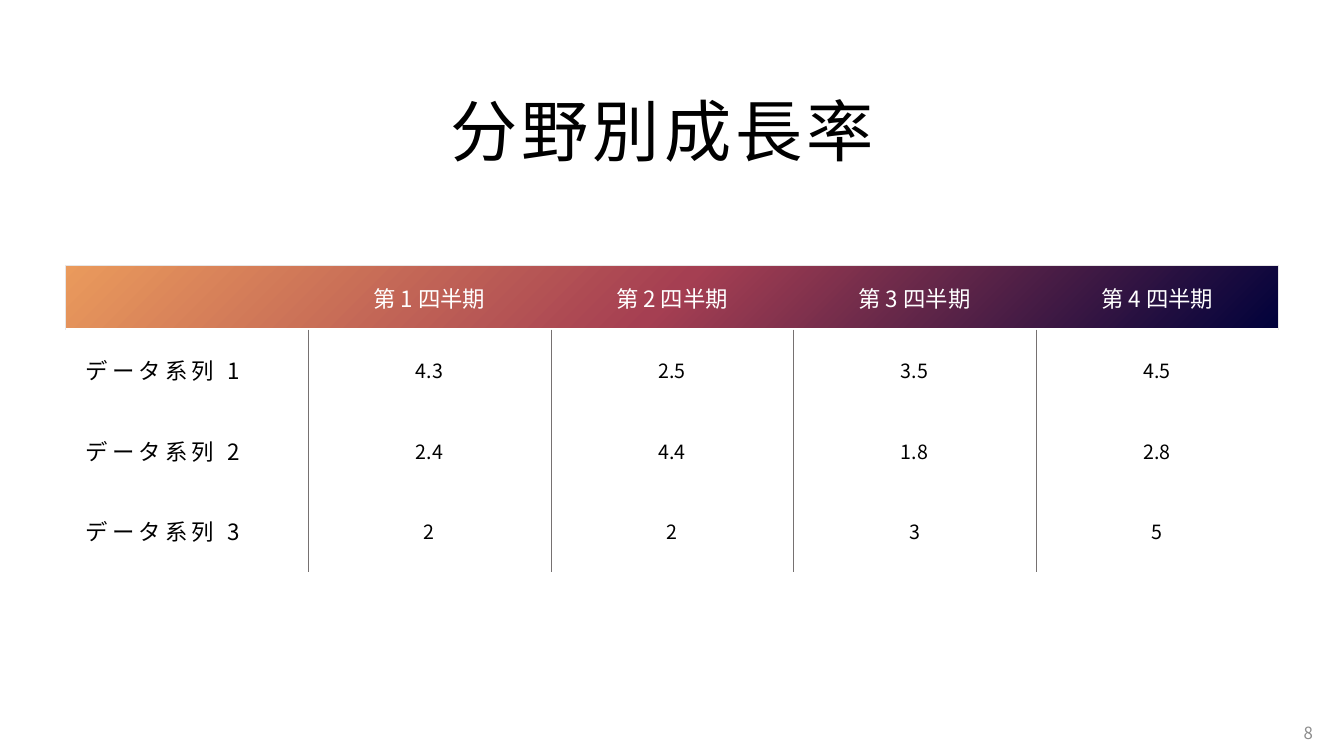
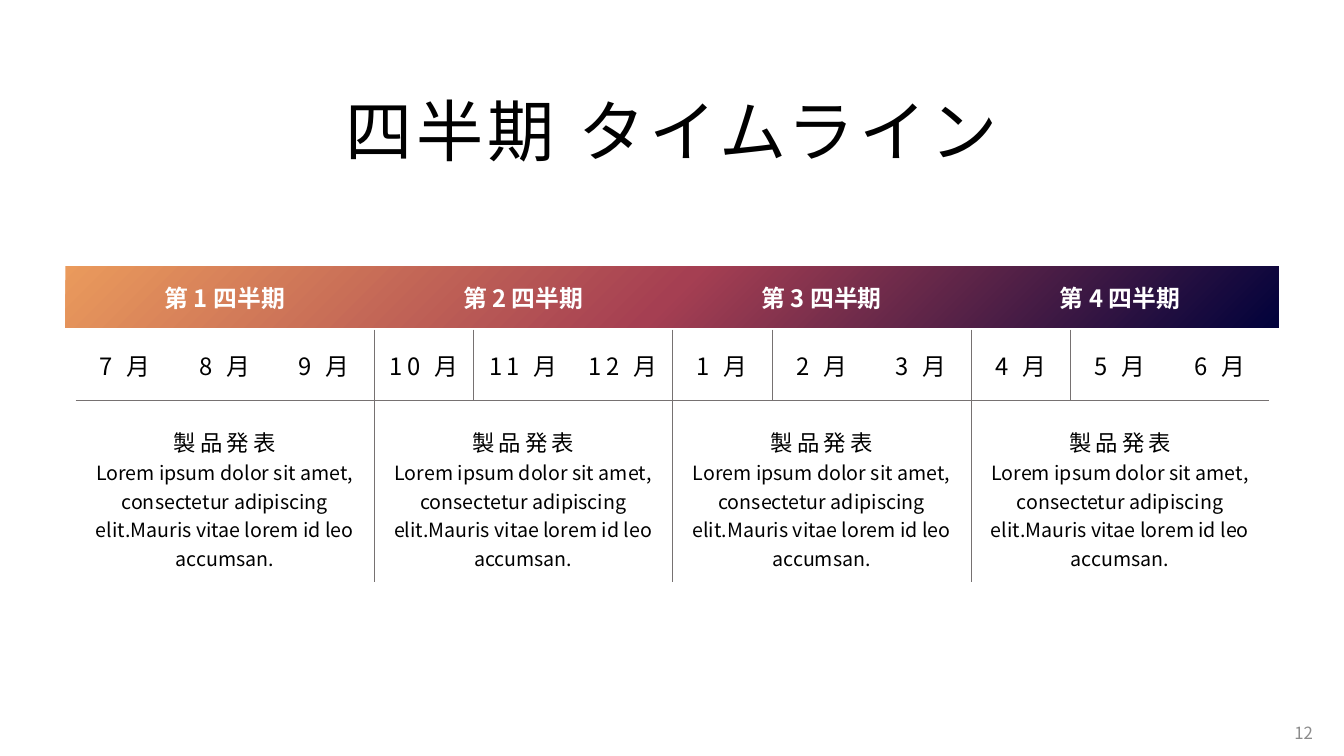
from dataclasses import dataclass

from pptx import Presentation
from pptx.dml.color import RGBColor
from pptx.enum.shapes import MSO_SHAPE
from pptx.enum.text import MSO_ANCHOR, MSO_AUTO_SIZE, PP_ALIGN
from pptx.oxml import parse_xml
from pptx.oxml.ns import nsdecls, qn
from pptx.oxml.xmlchemy import OxmlElement
from pptx.util import Inches, Pt


@dataclass(frozen=True)
class TextStyle:
    size: int
    color: str = "000000"
    spacing: int = 0
    bold: bool = False


@dataclass(frozen=True)
class Theme:
    font: str = "Noto Sans CJK JP"
    band_colors: tuple = ("01023B", "A53F52", "EA9A5C")
    divider: tuple = ("767171", 0.25)
    header_edge: tuple = ("E7E6E6", 0.5)
    title: TextStyle = TextStyle(48, spacing=3)
    header: TextStyle = TextStyle(16, "FFFFFF")
    quarter: TextStyle = TextStyle(17, "FFFFFF", bold=True)
    label: TextStyle = TextStyle(16, spacing=3)
    month: TextStyle = TextStyle(17, spacing=3)
    body: TextStyle = TextStyle(14)
    number: TextStyle = TextStyle(12, "8C8C8C")


THEME = Theme()
LEFT, WIDTH = 0.65, 12.03
TABLE_TOP = 2.63
NO_GRID_STYLE = "{2D5ABB26-0587-4C30-8999-92F81FD0307C}"
QUARTERS = [f"第 {number} 四半期" for number in range(1, 5)]
SERIES = [
    ("データ系列 1", "4.3", "2.5", "3.5", "4.5"),
    ("データ系列 2", "2.4", "4.4", "1.8", "2.8"),
    ("データ系列 3", "2", "2", "3", "5"),
]
MONTHS = [f"{month} 月" for month in (7, 8, 9, 10, 11, 12, 1, 2, 3, 4, 5, 6)]
MILESTONE = "製品発表"
MILESTONE_TEXT = ("Lorem ipsum dolor sit amet, consectetur adipiscing "
                  "elit.Mauris vitae lorem id leo accumsan.")


# Text
def write(paragraph, text, style, align=PP_ALIGN.CENTER):
    paragraph.alignment = align
    run = paragraph.add_run()
    run.text = text
    font = run.font
    font.name = THEME.font
    font.size = Pt(style.size)
    font.bold = style.bold
    font.color.rgb = RGBColor.from_string(style.color)
    properties = run._r.get_or_add_rPr()
    properties.set("spc", str(style.spacing * 100))
    east_asian = OxmlElement("a:ea")
    east_asian.set("typeface", THEME.font)
    properties.find(qn("a:latin")).addnext(east_asian)


# Parts that both slides share
def add_band(slide):
    band = slide.shapes.add_shape(MSO_SHAPE.RECTANGLE, Inches(LEFT), Inches(2.64),
                                  Inches(WIDTH), Inches(0.61))
    band.shadow.inherit = False
    band.line.fill.background()
    band.fill.background()
    stops = "".join(
        f'<a:gs pos="{index * 50000}"><a:srgbClr val="{color}"/></a:gs>'
        for index, color in enumerate(THEME.band_colors))
    gradient = parse_xml(
        f'<a:gradFill {nsdecls("a")} rotWithShape="1"><a:gsLst>{stops}</a:gsLst>'
        '<a:path path="circle"><a:fillToRect l="100000" t="100000"/></a:path>'
        '</a:gradFill>')
    properties = band._element.spPr
    properties.replace(properties.find(qn("a:noFill")), gradient)


def add_title(slide, text):
    title = slide.shapes.title
    title.left, title.top = Inches(LEFT), Inches(0.84)
    title.width, title.height = Inches(WIDTH), Inches(0.9)
    frame = title.text_frame
    frame.auto_size = MSO_AUTO_SIZE.NONE
    frame.vertical_anchor = MSO_ANCHOR.MIDDLE
    write(frame.paragraphs[0], text, THEME.title)


def add_page_number(slide, number):
    box = slide.shapes.add_textbox(Inches(12.63), Inches(7.07), Inches(0.49), Inches(0.4))
    frame = box.text_frame
    frame.word_wrap = True
    frame.vertical_anchor = MSO_ANCHOR.MIDDLE
    write(frame.paragraphs[0], str(number), THEME.number, PP_ALIGN.RIGHT)


def add_framed_slide(presentation, title, number):
    slide = presentation.slides.add_slide(presentation.slide_layouts[5])
    add_band(slide)
    add_title(slide, title)
    add_page_number(slide, number)
    return slide


# Tables
def add_plain_table(slide, left, width, columns, row_heights):
    table = slide.shapes.add_table(
        len(row_heights), columns, Inches(left), Inches(TABLE_TOP),
        Inches(width), Inches(sum(row_heights))).table
    table.first_row = table.horz_banding = False
    table._tbl.tblPr.find(qn("a:tableStyleId")).text = NO_GRID_STYLE
    for column in table.columns:
        column.width = Inches(width / columns)
    for row, height in zip(table.rows, row_heights):
        row.height = Inches(height)
    for cell in table.iter_cells():
        cell.fill.background()
        cell.vertical_anchor = MSO_ANCHOR.MIDDLE
    return table


def set_borders(cell, sides, border):
    """Draw the sides named by the letters L, R, T and B."""
    color, width = border
    properties = cell._tc.get_or_add_tcPr()
    ordered = [side for side in "LRTB" if side in sides]
    for index, side in enumerate(ordered):
        properties.insert(index, parse_xml(
            f'<a:ln{side} {nsdecls("a")} w="{Pt(width)}"><a:solidFill>'
            f'<a:srgbClr val="{color}"/></a:solidFill></a:ln{side}>'))


def vertical_sides(index, count):
    """Inner sides of the group at this index."""
    return ("L" if index > 0 else "") + ("R" if index < count - 1 else "")


def write_cell(cell, text, style, align=PP_ALIGN.CENTER):
    write(cell.text_frame.paragraphs[0], text, style, align)


# Slides
def build_growth(presentation):
    slide = add_framed_slide(presentation, "分野別成長率 ", 8)
    columns = len(QUARTERS) + 1
    table = add_plain_table(slide, LEFT, WIDTH, columns, [0.64] + [0.8] * len(SERIES))

    for column in range(columns):
        outer = {0: "L", columns - 1: "R"}.get(column, "")
        set_borders(table.cell(0, column), "T" + outer, THEME.header_edge)
    for column, quarter in enumerate(QUARTERS, 1):
        write_cell(table.cell(0, column), quarter, THEME.header)

    for row, (label, *values) in enumerate(SERIES, 1):
        label_cell = table.cell(row, 0)
        label_cell.margin_left = Inches(0.2)
        write_cell(label_cell, label, THEME.label, PP_ALIGN.LEFT)
        for column, value in enumerate(values, 1):
            write_cell(table.cell(row, column), value, THEME.body)
        for column in range(columns):
            set_borders(table.cell(row, column), vertical_sides(column, columns),
                        THEME.divider)


def build_timeline(presentation):
    slide = add_framed_slide(presentation, "四半期 タイムライン", 12)
    count = len(QUARTERS)
    span = len(MONTHS) // count
    table = add_plain_table(slide, 0.75, 11.84, len(MONTHS), [0.64, 0.7, 1.8])

    for index, quarter in enumerate(QUARTERS):
        first, last = index * span, (index + 1) * span - 1
        sides = vertical_sides(index, count)

        # Quarter heading and milestone each cover three months
        heading, milestone = table.cell(0, first), table.cell(2, first)
        heading.merge(table.cell(0, last))
        milestone.merge(table.cell(2, last))
        write_cell(heading, quarter, THEME.quarter)
        write_cell(milestone, MILESTONE, THEME.label)
        milestone.text_frame.paragraphs[0].line_spacing = 1.5
        write(milestone.text_frame.add_paragraph(), MILESTONE_TEXT, THEME.body)
        set_borders(milestone, "T" + sides, THEME.divider)

        # Months of the quarter
        for column in range(first, last + 1):
            edge = {first: "L", last: "R"}.get(column, "")
            cell = table.cell(1, column)
            write_cell(cell, MONTHS[column], THEME.month)
            set_borders(cell, "B" + (edge if edge in sides else ""), THEME.divider)


def main():
    presentation = Presentation()
    presentation.slide_width = Inches(13.33)
    presentation.slide_height = Inches(7.5)
    build_growth(presentation)
    build_timeline(presentation)
    presentation.save("out.pptx")


if __name__ == "__main__":
    main()
